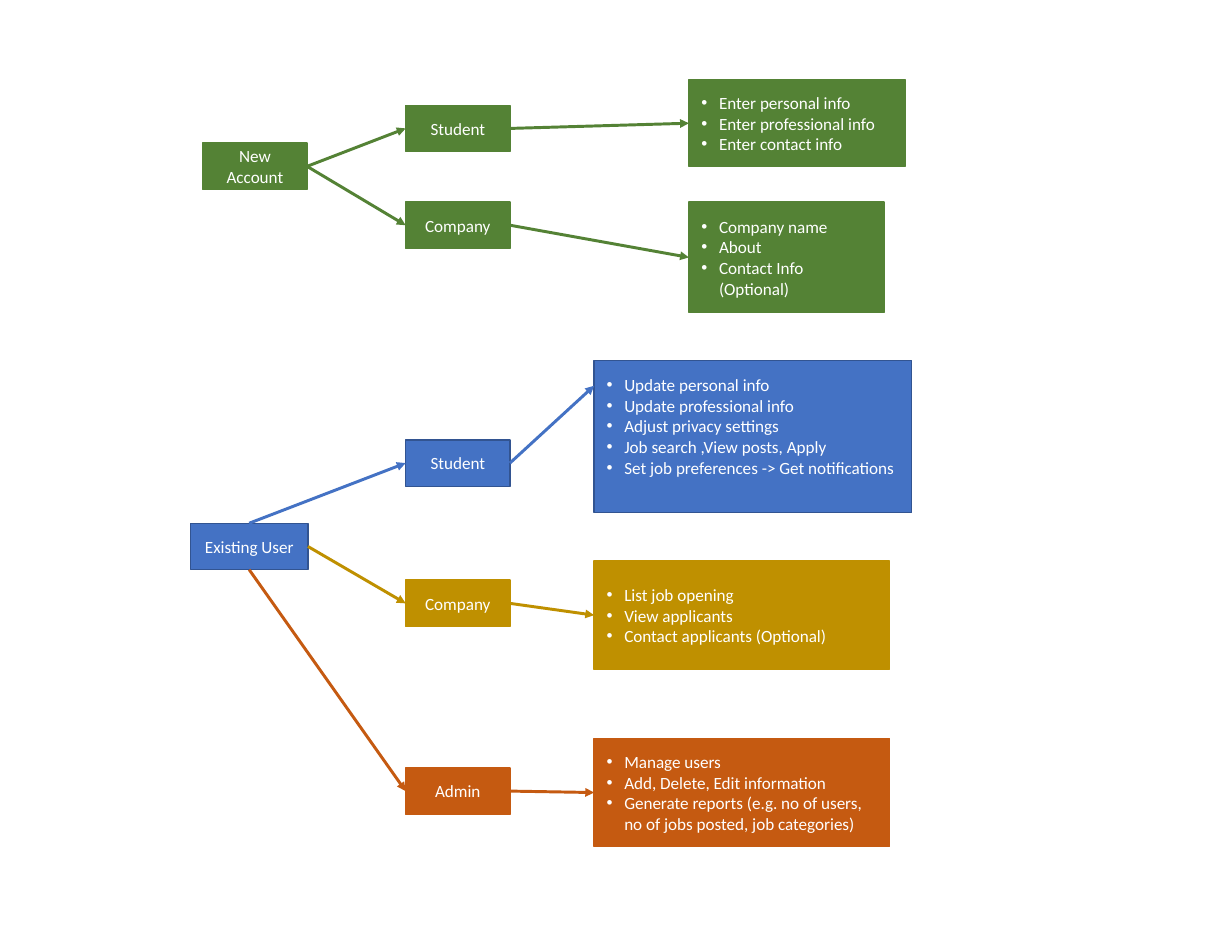
from lxml.etree import SubElement
from pptx import Presentation
from pptx.dml.color import RGBColor
from pptx.enum.shapes import MSO_CONNECTOR as Connector, MSO_SHAPE as Shape
from pptx.enum.text import MSO_ANCHOR as Anchor, PP_ALIGN as Align
from pptx.oxml.ns import qn
from pptx.util import Pt

GREEN, BLUE, NAVY, GOLD, ORANGE = "548235", "4472C4", "325491", "BF9000", "C55A11"
TOP, LEFT, BOTTOM, RIGHT = range(4)  # connection sites of a rectangle
ROLE_LEFT, ROLE_WIDTH, NODE_HEIGHT = 308.2, 79.2, 35.3
NEW_LEFT, EXISTING_LEFT = 523.4, 451.4  # left edges of the task boxes
INDENT = 13.5

# exit site, role, role top, fill, outline, task box, tasks, options
NEW_BRANCHES = [
    (RIGHT, "Student", 79.9, GREEN, GREEN, (NEW_LEFT, 60.5, 164.2, 66.2),
     ["Enter personal info", "Enter professional info", "Enter contact info"], {}),
    (RIGHT, "Company", 153.4, GREEN, GREEN, (NEW_LEFT, 153.4, 148.3, 84.2),
     ["Company name", "About", "Contact Info (Optional)"], {}),
]
EXISTING_BRANCHES = [
    (TOP, "Student", 334.1, BLUE, NAVY, (EXISTING_LEFT, 273.6, 241.2, 115.9),
     ["Update personal info", "Update professional info", "Adjust privacy settings",
      "Job search ,View posts, Apply", "Set job preferences -> Get notifications"],
     {"arrow_y": 293, "bottom_inset": 21}),
    (RIGHT, "Company", 440.6, GOLD, GOLD, (EXISTING_LEFT, 426.2, 224.6, 82.1),
     ["List job opening", "View applicants", "Contact applicants (Optional)"], {}),
    (BOTTOM, "Admin", 583.2, ORANGE, ORANGE, (EXISTING_LEFT, 560.9, 224.6, 82.1),
     ["Manage users", "Add, Delete, Edit information",
      "Generate reports (e.g. no of users, no of jobs posted, job categories)"], {}),
]


def color(hex_value):
    return RGBColor.from_string(hex_value)


def add_bullet(paragraph):
    properties = paragraph._p.get_or_add_pPr()
    properties.set("marL", str(Pt(INDENT)))
    properties.set("indent", str(-Pt(INDENT)))
    SubElement(properties, qn("a:buFont"), typeface="Arial")
    SubElement(properties, qn("a:buChar"), char="•")


def write_text(frame, lines, size=13, font="Calibri", ink="FFFFFF",
               align=Align.CENTER, bullets=False, bottom_inset=5):
    frame.word_wrap = True
    frame.vertical_anchor = Anchor.MIDDLE
    frame.margin_left = frame.margin_right = Pt(9.4)
    frame.margin_top, frame.margin_bottom = Pt(5), Pt(bottom_inset)
    for index, line in enumerate(lines):
        paragraph = frame.add_paragraph() if index else frame.paragraphs[0]
        paragraph.alignment = align
        if bullets:
            add_bullet(paragraph)
        run = paragraph.add_run()
        run.text = line
        run.font.size, run.font.name = Pt(size), font
        run.font.color.rgb = color(ink)


def add_box(slide, bounds, lines, fill, outline, **text_format):
    box = slide.shapes.add_shape(Shape.RECTANGLE, *map(Pt, bounds))
    box.shadow.inherit = False
    box.fill.solid()
    box.fill.fore_color.rgb = color(fill)
    box.line.color.rgb = color(outline)
    box.line.width = Pt(1)
    write_text(box.text_frame, lines, **text_format)
    return box


def add_arrow(slide, start, site, end, ink, arrow_y=None):
    """Join two boxes; arrow_y aims at another height on the left edge."""
    arrow = slide.shapes.add_connector(Connector.STRAIGHT, 0, 0, 0, 0)
    arrow.begin_connect(start, site)
    if arrow_y is None:
        arrow.end_connect(end, LEFT)
    else:
        arrow.end_x, arrow.end_y = end.left, Pt(arrow_y)
    arrow.line.color.rgb = color(ink)
    arrow.line.width = Pt(2.25)
    SubElement(arrow.line._get_or_add_ln(), qn("a:tailEnd"), type="triangle")
    SubElement(arrow._element.spPr, qn("a:effectLst"))


def add_branch(slide, root, site, role, top, fill, outline, bounds, tasks, options):
    role_bounds = (ROLE_LEFT, top, ROLE_WIDTH, NODE_HEIGHT)
    role_box = add_box(slide, role_bounds, [role], fill, outline)
    task_box = add_box(slide, bounds, tasks, fill, outline, align=Align.LEFT,
                       bullets=True, bottom_inset=options.get("bottom_inset", 5))
    add_arrow(slide, root, site, role_box, fill)
    add_arrow(slide, role_box, RIGHT, task_box, fill, options.get("arrow_y"))


def main():
    presentation = Presentation()
    presentation.slide_width, presentation.slide_height = Pt(936), Pt(720)
    slide = presentation.slides.add_slide(presentation.slide_layouts[6])

    # New account flow
    new_account = add_box(slide, (154.1, 108.7, ROLE_WIDTH, NODE_HEIGHT),
                          ["New Account"], GREEN, GREEN)
    for branch in NEW_BRANCHES:
        add_branch(slide, new_account, *branch)

    # Existing user flow
    existing_user = add_box(slide, (144.7, 397.4, 89.3, NODE_HEIGHT),
                            ["Existing User"], BLUE, NAVY)
    for branch in EXISTING_BRANCHES:
        add_branch(slide, existing_user, *branch)

    presentation.save("out.pptx")


main()
